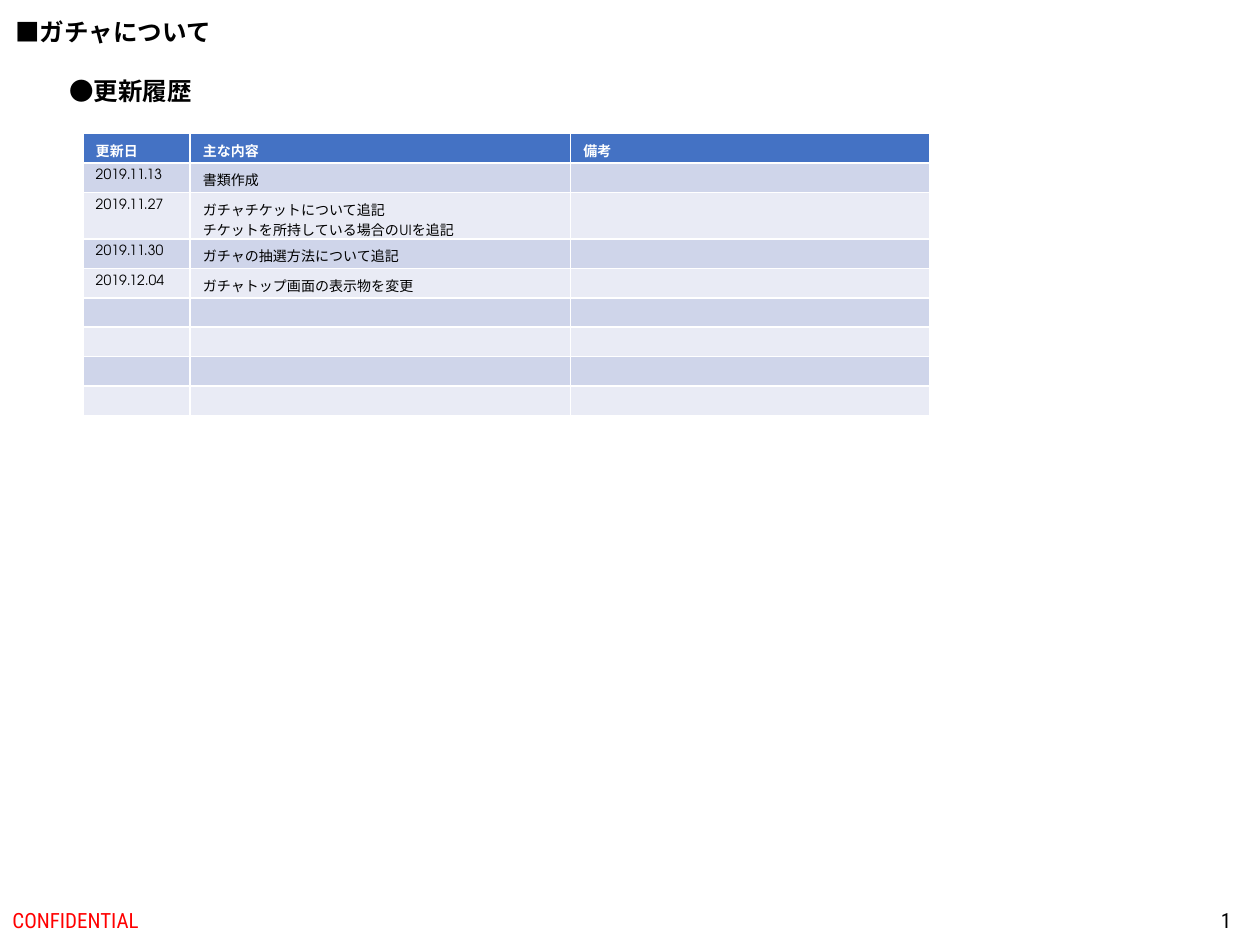
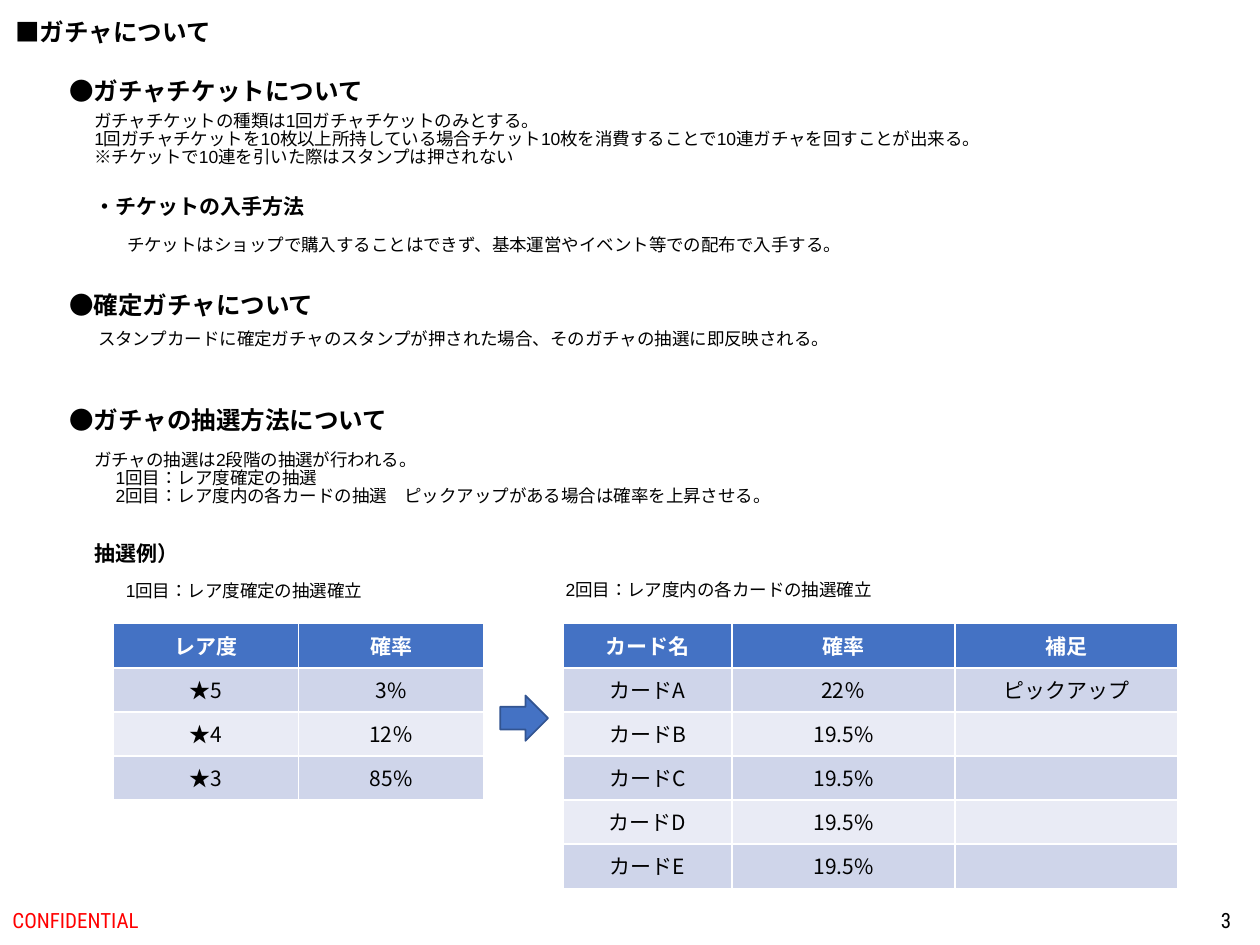
from dataclasses import dataclass

from lxml.etree import SubElement
from pptx import Presentation
from pptx.dml.color import RGBColor
from pptx.enum.lang import MSO_LANGUAGE_ID
from pptx.enum.shapes import MSO_SHAPE
from pptx.enum.text import MSO_ANCHOR, MSO_AUTO_SIZE, PP_ALIGN
from pptx.oxml.ns import qn
from pptx.util import Pt

SCALE = 9144


@dataclass(frozen=True)
class Theme:
    """Colours, fonts and type sizes of the deck."""
    black: str = "000000"
    white: str = "FFFFFF"
    red: str = "FF0000"
    blue: str = "4472C4"
    edge: str = "325491"
    bands: tuple = ("CFD5EA", "E9EBF5")
    sans: str = "Arial"
    round: str = "TeX Gyre Adventor"
    slim: str = "Roboto Condensed"
    kanji: str = "Noto Sans CJK JP"
    head: int = 14
    sub: int = 12
    body: int = 10
    small: int = 8


THEME = Theme()


def px(*sizes):
    """Turn whole px into EMU."""
    return [size * SCALE for size in sizes]


def write(frame, text, size=THEME.body, font=THEME.sans, color=THEME.black,
          bold=False, align=PP_ALIGN.LEFT, lead=0.85, inset=0):
    """Fill a frame with one paragraph a line, insetting all but the first."""
    for row, line in enumerate(text.split("\n")):
        para = frame.add_paragraph() if row else frame.paragraphs[0]
        para.alignment = align
        para.line_spacing = lead
        if row and inset:
            para._p.get_or_add_pPr().set("marL", str(inset * SCALE))
        if not line:
            SubElement(para._p, qn("a:endParaRPr"), sz=str(size * 100))
            continue
        run = para.add_run()
        run.text = line
        run.font.size = Pt(size)
        run.font.bold = bold
        run.font.language_id = MSO_LANGUAGE_ID.JAPANESE
        run.font.color.rgb = RGBColor.from_string(color)
        run.font.name = font
        SubElement(run._r.get_or_add_rPr(), qn("a:ea"), typeface=THEME.kanji)


def place(shape, left, top, width, height):
    """Move and size a shape."""
    shape.left, shape.top, shape.width, shape.height = px(left, top, width, height)


def label(slide, text, left, top, width, height, **form):
    """Add a text box that grows with its unwrapped text."""
    frame = slide.shapes.add_textbox(*px(left, top, width, height)).text_frame
    frame.word_wrap = False
    frame.auto_size = MSO_AUTO_SIZE.SHAPE_TO_FIT_TEXT
    write(frame, text, **form)


def head(slide, text, top, width, **form):
    """Add a section heading."""
    label(slide, text, 45, top, width, 34, size=THEME.head, bold=True, **form)


def sub(slide, text, top, width):
    """Add a minor heading."""
    label(slide, text, 65, top, width, 30, size=THEME.sub, bold=True)


def foot(slide, text, left, width, **form):
    """Add a text to the foot of the slide."""
    frame = slide.shapes.add_textbox(*px(left, 710, width, 40)).text_frame
    frame.word_wrap = True
    frame.vertical_anchor = MSO_ANCHOR.MIDDLE
    write(frame, text, size=THEME.sub, font=THEME.slim, lead=1, **form)


def page(deck, number):
    """Add a slide with the shared title and footers."""
    slide = deck.slides.add_slide(deck.slide_layouts[5])
    title = slide.shapes.title
    place(title, 2, 12, 177, 34)
    frame = title.text_frame
    frame.word_wrap = False
    frame.auto_size = MSO_AUTO_SIZE.SHAPE_TO_FIT_TEXT
    frame.vertical_anchor = MSO_ANCHOR.TOP
    write(frame, "■ガチャについて", size=THEME.head, bold=True)
    foot(slide, "CONFIDENTIAL", 0, 338, color=THEME.red)
    foot(slide, str(number), 762, 225, align=PP_ALIGN.RIGHT)
    return slide


def grid(slide, rows, left, top, widths, heights, fonts=None, **form):
    """Add a banded table; fonts maps a row and column to its own font."""
    size = px(left, top, sum(widths), sum(heights))
    table = slide.shapes.add_table(len(rows), len(widths), *size).table
    for col, width in zip(table.columns, px(*widths)):
        col.width = width
    for r, texts in enumerate(rows):
        table.rows[r].height = heights[r] * SCALE
        fill = THEME.bands[(r - 1) % 2] if r else THEME.blue
        for c, text in enumerate(texts):
            cell = table.cell(r, c)
            cell.fill.solid()
            cell.fill.fore_color.rgb = RGBColor.from_string(fill)
            look = dict(form, font=(fonts or {}).get((r, c), form["font"]))
            write(cell.text_frame, text, bold=r == 0, lead=1,
                  color=THEME.black if r else THEME.white, **look)


def arrow(slide, left, top, width, height):
    """Add a block arrow that points right."""
    shape = slide.shapes.add_shape(MSO_SHAPE.RIGHT_ARROW, *px(left, top, width, height))
    shape.shadow.inherit = False
    shape.fill.solid()
    shape.fill.fore_color.rgb = RGBColor.from_string(THEME.blue)
    shape.line.color.rgb = RGBColor.from_string(THEME.edge)
    shape.line.width = Pt(1)


def history(deck):
    """Build the slide with the update history."""
    slide = page(deck, 1)
    head(slide, "●更新履歴", 59, 118, font=THEME.round)
    rows = [
        ("更新日", "主な内容", "備考"),
        ("2019.11.13", "書類作成", ""),
        ("2019.11.27", "ガチャチケットについて追記\nチケットを所持している場合のUIを追記", ""),
        ("2019.11.30", "ガチャの抽選方法について追記", ""),
        ("2019.12.04", "ガチャトップ画面の表示物を変更", ""),
    ] + [("", "", "")] * 4
    heights = [23, 23, 37] + [23] * 6
    grid(slide, rows, 66, 106, (85, 302, 285), heights, size=THEME.small,
         font=THEME.round, fonts={(4, 1): THEME.sans})


def rules(deck):
    """Build the slide with the ticket and draw rules."""
    slide = page(deck, 3)
    head(slide, "●ガチャチケットについて", 59, 256)
    label(slide, "ガチャチケットの種類は1回ガチャチケットのみとする。\n"
          "1回ガチャチケットを10枚以上所持している場合チケット10枚を消費することで"
          "10連ガチャを回すことが出来る。\n"
          "※チケットで10連を引いた際はスタンプは押されない", 65, 85, 741, 61)
    sub(slide, "・チケットの入手方法", 152, 188)
    label(slide, "チケットはショップで購入することはできず、基本運営やイベント等での配布で入手する。",
          91, 183, 595, 27)
    head(slide, "●確定ガチャについて", 229, 217)
    label(slide, "スタンプカードに確定ガチャのスタンプが押された場合、そのガチャの抽選に即反映される。",
          68, 258, 623, 27)
    head(slide, "●ガチャの抽選方法について", 320, 275)
    label(slide, "ガチャの抽選は2段階の抽選が行われる。\n1回目：レア度確定の抽選\n"
          "2回目：レア度内の各カードの抽選　ピックアップがある場合は確率を上昇させる。",
          65, 354, 562, 61, inset=17)
    sub(slide, "抽選例）", 427, 88)
    label(slide, "1回目：レア度確定の抽選確立", 90, 458, 211, 27)
    label(slide, "2回目：レア度内の各カードの抽選確立", 439, 457, 267, 27)
    form = dict(size=THEME.sub, font=THEME.kanji, align=PP_ALIGN.CENTER)
    rare = [("レア度", "確率"), ("★5", "3%"), ("★4", "12％"), ("★3", "85%")]
    grid(slide, rare, 90, 495, (147, 147), [35] * len(rare), **form)
    cards = [("カード名", "確率", "補足"), ("カードA", "22％", "ピックアップ")]
    cards += [(f"カード{name}", "19.5%", "") for name in "BCDE"]
    grid(slide, cards, 447, 495, (134, 177, 177), [35] * len(cards), **form)
    arrow(slide, 397, 552, 38, 36)


def main():
    """Build and save the deck."""
    deck = Presentation()
    deck.slide_width, deck.slide_height = px(1000, 750)
    history(deck)
    rules(deck)
    deck.save("out.pptx")


if __name__ == "__main__":
    main()
